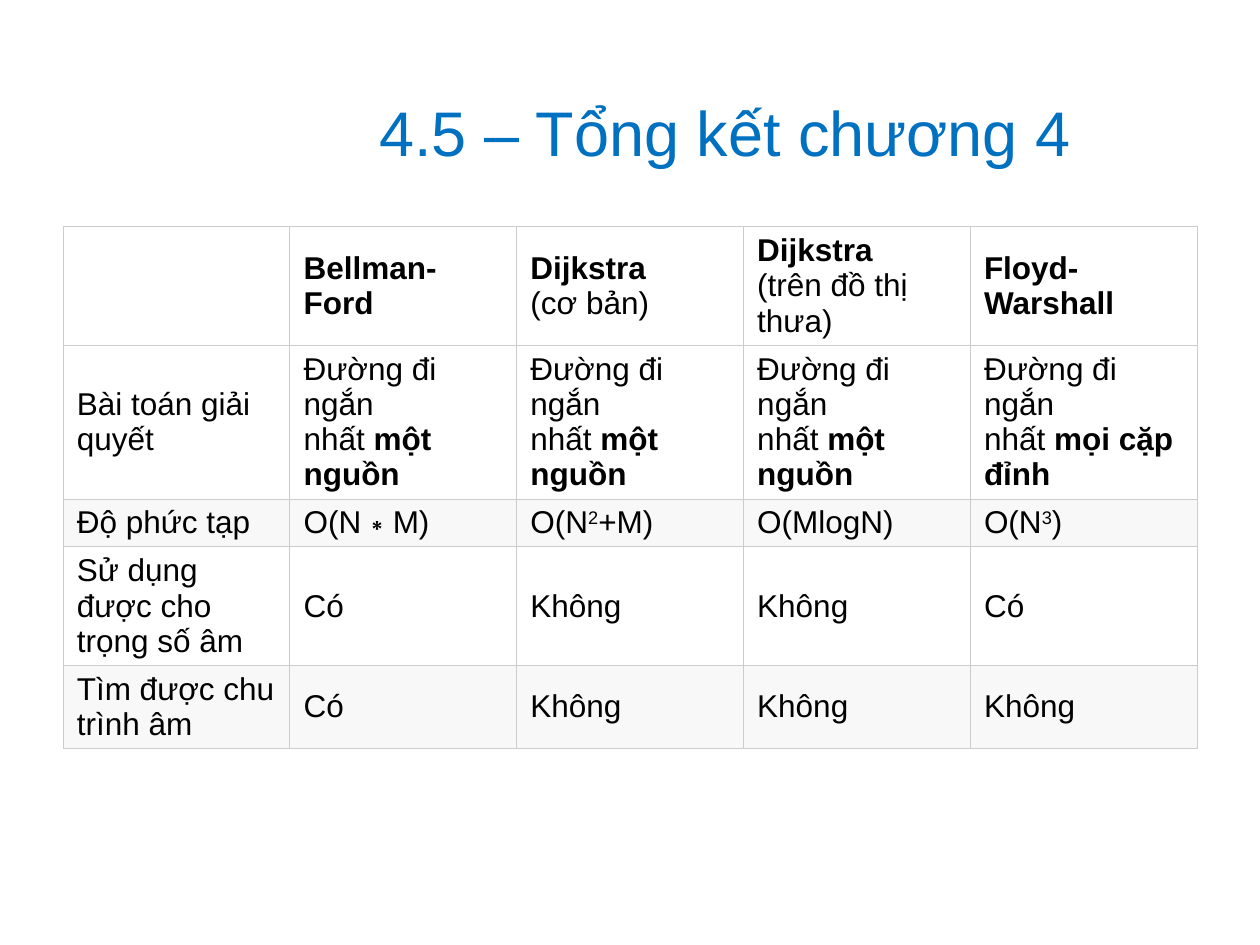
from pptx import Presentation
from pptx.dml.color import RGBColor
from pptx.enum.text import MSO_ANCHOR as Anchor, PP_ALIGN as Align
from pptx.oxml import parse_xml
from pptx.oxml.ns import nsdecls
from pptx.util import Inches, Pt

FONT = "Arial"
BLUE = RGBColor(0x00, 0x70, 0xC0)
BLACK = RGBColor(0x00, 0x00, 0x00)
WHITE = RGBColor(0xFF, 0xFF, 0xFF)
PALE = RGBColor(0xF8, 0xF8, 0xF8)
BORDER = RGBColor(0xCC, 0xCC, 0xCC)

COLUMN_WIDTH = 1.8
ROW_HEIGHTS = [0.94, 1.22, 0.38, 0.94, 0.66]
ROW_FILLS = [WHITE, WHITE, PALE, WHITE, PALE]

# Spans are parted by "|"; a leading "*" makes one bold, "^" superscript.
# The no-break space keeps "nhất" with the bold words after it.
SHORTEST = "Đường đi ngắn nhất" + chr(160)
ONE_SOURCE = SHORTEST + "|*một nguồn"
ALL_PAIRS = SHORTEST + "|*mọi cặp đỉnh"
ROWS = [
    ["", "*Bellman-Ford", "*Dijkstra\n(cơ bản)",
     "*Dijkstra\n(trên đồ thị thưa)", "*Floyd-Warshall"],
    ["Bài toán giải quyết", ONE_SOURCE, ONE_SOURCE, ONE_SOURCE, ALL_PAIRS],
    ["Độ phức tạp", "O(N∗M)", "O(N|^2|+M)", "O(MlogN)", "O(N|^3|)"],
    ["Sử dụng được cho trọng số âm", "Có", "Không", "Không", "Có"],
    ["Tìm được chu trình âm", "Có", "Không", "Không", "Không"],
]


def set_font(para, size, color):
    para.font.name = FONT
    para.font.size = Pt(size)
    para.font.color.rgb = color


def add_title(page, text):
    title = page.shapes.title
    title.left, title.top = Inches(2.17), Inches(0.5)
    title.width, title.height = Inches(7.17), Inches(1.08)
    frame = title.text_frame
    frame.text = text
    frame.vertical_anchor = Anchor.MIDDLE
    para = frame.paragraphs[0]
    para.alignment = Align.CENTER
    set_font(para, 36, BLUE)


def add_spans(para, marked_text):
    for piece in marked_text.split("|"):
        span = para.add_run()
        span.text = piece.lstrip("*^")
        if piece.startswith("*"):
            span.font.bold = True
        elif piece.startswith("^"):
            span.font._element.set("baseline", "30000")


def add_borders(cell):
    properties = cell._tc.get_or_add_tcPr()
    for index, side in enumerate(("lnL", "lnR", "lnT", "lnB")):
        line = parse_xml(
            f'<a:{side} {nsdecls("a")} w="{Pt(0.6)}"><a:solidFill>'
            f'<a:srgbClr val="{BORDER}"/></a:solidFill></a:{side}>')
        properties.insert(index, line)


def fill_cell(cell, marked_text, fill):
    cell.fill.solid()
    cell.fill.fore_color.rgb = fill
    add_borders(cell)
    cell.vertical_anchor = Anchor.MIDDLE
    cell.margin_left = cell.margin_right = Inches(0.11)
    cell.margin_top = cell.margin_bottom = Inches(0.05)
    frame = cell.text_frame
    for index, line in enumerate(marked_text.split("\n")):
        para = frame.add_paragraph() if index else frame.paragraphs[0]
        set_font(para, 18, BLACK)
        if line:
            add_spans(para, line)


def add_comparison(page):
    columns = len(ROWS[0])
    table = page.shapes.add_table(
        len(ROWS), columns, Inches(0.5), Inches(1.8),
        Inches(columns * COLUMN_WIDTH), Inches(sum(ROW_HEIGHTS))).table
    table.first_row = table.horz_banding = False
    for column in table.columns:
        column.width = Inches(COLUMN_WIDTH)
    for r, (texts, height, fill) in enumerate(zip(ROWS, ROW_HEIGHTS, ROW_FILLS)):
        table.rows[r].height = Inches(height)
        for c, text in enumerate(texts):
            fill_cell(table.cell(r, c), text, fill)


def main():
    deck = Presentation()
    deck.slide_width, deck.slide_height = Inches(10), Inches(7.5)
    page = deck.slides.add_slide(deck.slide_layouts[5])
    add_title(page, "4.5 – Tổng kết chương 4")
    add_comparison(page)
    deck.save("out.pptx")


if __name__ == "__main__":
    main()
